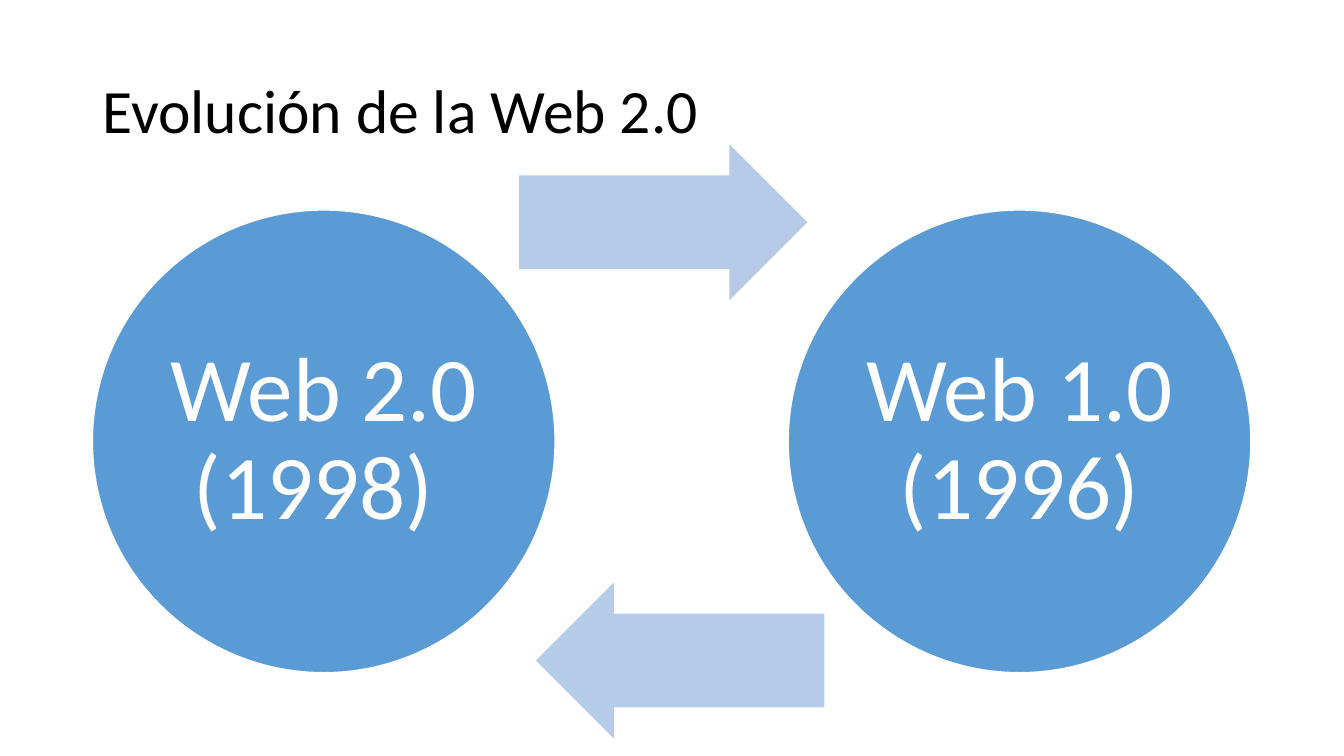
from pptx import Presentation
from pptx.dml.color import RGBColor
from pptx.enum.shapes import MSO_SHAPE
from pptx.enum.text import MSO_ANCHOR, MSO_AUTO_SIZE, PP_ALIGN
from pptx.util import Pt

OVAL, ARROW = MSO_SHAPE.OVAL, MSO_SHAPE.RIGHT_ARROW
MIDDLE, NO_FIT = MSO_ANCHOR.MIDDLE, MSO_AUTO_SIZE.NONE
LEFT, CENTER = PP_ALIGN.LEFT, PP_ALIGN.CENTER

TITLE = "Evolución de la Web 2.0"
STAGES = ["Web 2.0 (1998) ", "Web 1.0 (1996)"]
COLORS = {"circle": "5B9BD5", "arrow": "B5CBE7", "white": "FFFFFF", "black": "000000"}
FONT = "Calibri"

PAGE_WIDTH, PAGE_HEIGHT = 960, 540
MARGIN = 66
DIAMETER = 330.5
CIRCLE_TOP = 150
CIRCLE_STEP = 497
ARROW_WIDTH, ARROW_HEIGHT = 206, 111.5
ARROW_SHIFT = 6
ARROW_REACH = 156.5


def color(name):
    return RGBColor.from_string(COLORS[name])


def write(shape, text, size, ink, align, inset_x, inset_y):
    frame = shape.text_frame
    frame.word_wrap = True
    frame.auto_size = NO_FIT
    frame.vertical_anchor = MIDDLE
    frame.margin_left = frame.margin_right = Pt(inset_x)
    frame.margin_top = frame.margin_bottom = Pt(inset_y)
    para = frame.paragraphs[0]
    para.alignment = align
    para.line_spacing = 0.9
    span = para.add_run()
    span.text = text
    span.font.name = FONT
    span.font.size = Pt(size)
    span.font.color.rgb = color(ink)


def add_shape(page, kind, left, top, width, height, fill):
    shape = page.shapes.add_shape(kind, Pt(left), Pt(top), Pt(width), Pt(height))
    shape.shadow.inherit = False
    shape.fill.solid()
    shape.fill.fore_color.rgb = color(fill)
    shape.line.fill.background()
    return shape


def add_stage(page, index, text):
    left = MARGIN + index * CIRCLE_STEP
    circle = add_shape(page, OVAL, left, CIRCLE_TOP, DIAMETER, DIAMETER, "circle")
    circle.line.color.rgb = color("white")
    circle.line.width = Pt(1)
    write(circle, text, size=65, ink="white", align=CENTER, inset_x=6.5, inset_y=6.5)


def add_arrow(page, index):
    side = 2 * index - 1
    center_x = MARGIN + (CIRCLE_STEP + DIAMETER) / 2 + side * ARROW_SHIFT
    center_y = CIRCLE_TOP + DIAMETER / 2 + side * ARROW_REACH
    arrow = add_shape(page, ARROW, center_x - ARROW_WIDTH / 2, center_y - ARROW_HEIGHT / 2,
                      ARROW_WIDTH, ARROW_HEIGHT, "arrow")
    arrow.adjustments[0] = 0.6
    arrow.adjustments[1] = 0.5
    arrow.rotation = 180 * index


def main():
    deck = Presentation()
    deck.slide_width, deck.slide_height = Pt(PAGE_WIDTH), Pt(PAGE_HEIGHT)
    page = deck.slides.add_slide(deck.slide_layouts[5])
    title = page.shapes.title
    title.left, title.top = Pt(MARGIN), Pt(28.75)
    title.width, title.height = Pt(PAGE_WIDTH - 2 * MARGIN), Pt(104.4)
    write(title, TITLE, size=44, ink="black", align=LEFT, inset_x=7.2, inset_y=3.6)
    for index, text in enumerate(STAGES):
        add_stage(page, index, text)
        add_arrow(page, index)
    deck.save("out.pptx")


if __name__ == "__main__":
    main()
